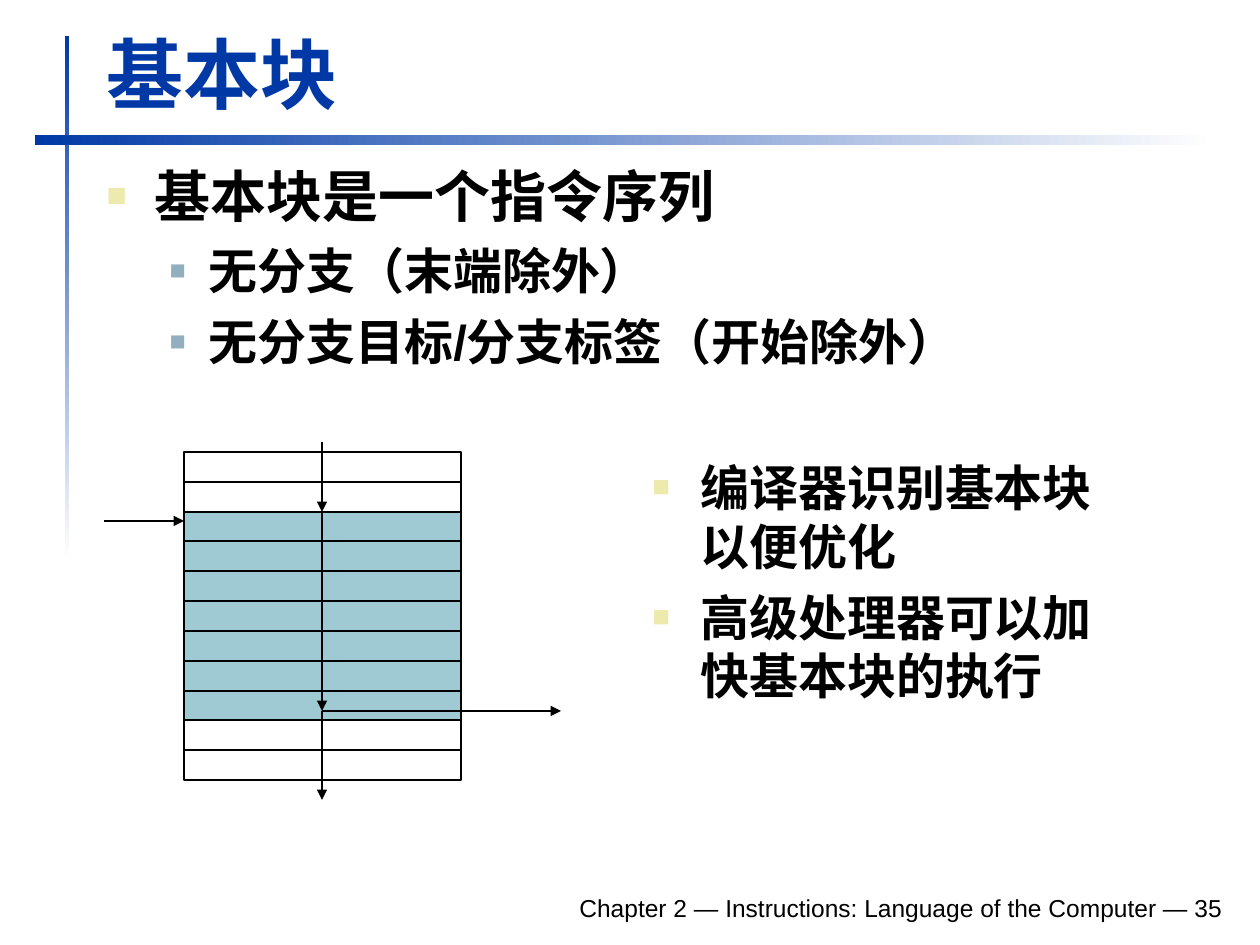
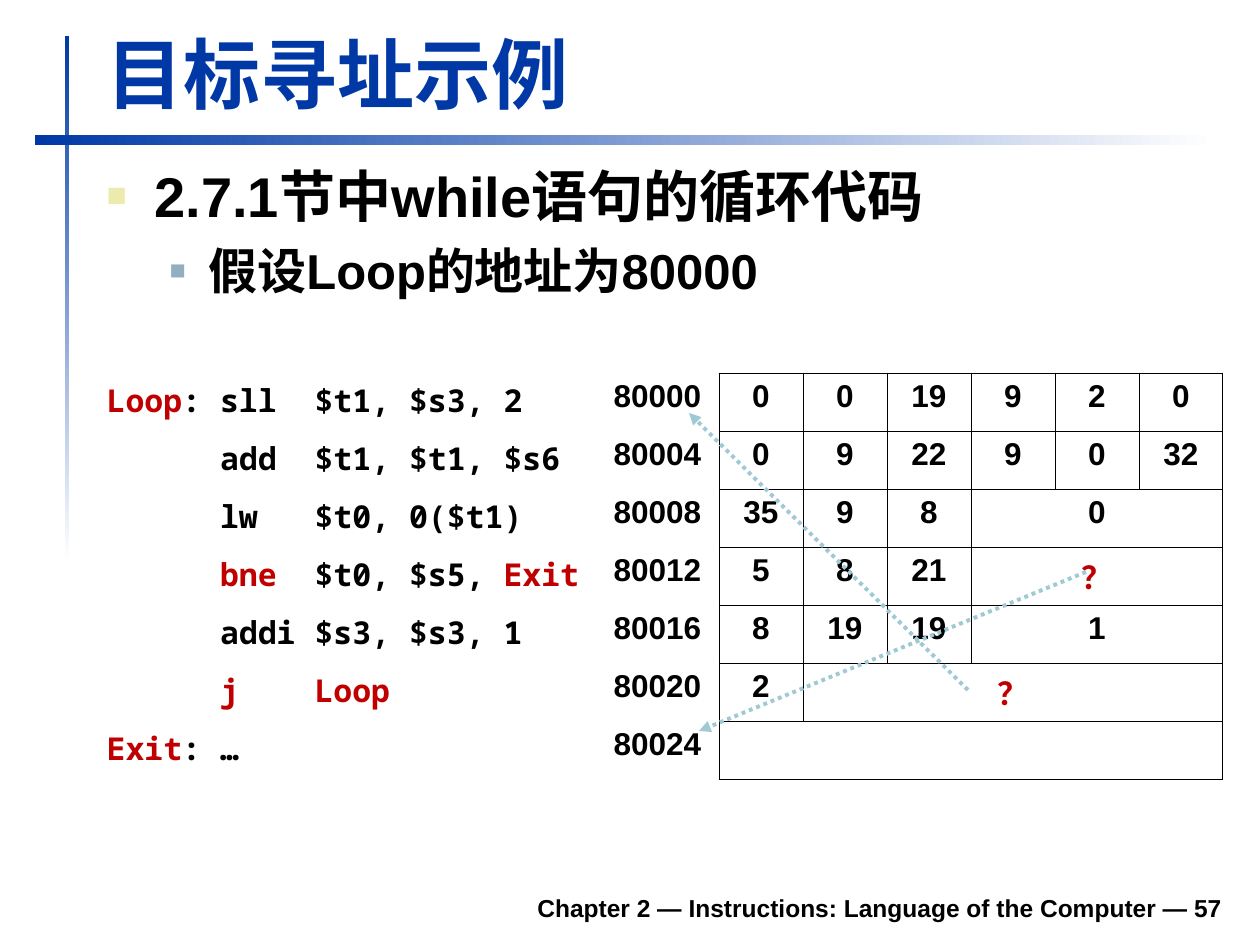
from lxml.etree import SubElement
from pptx import Presentation
from pptx.dml.color import RGBColor
from pptx.enum.dml import MSO_LINE
from pptx.enum.shapes import MSO_CONNECTOR, MSO_SHAPE
from pptx.enum.text import MSO_ANCHOR, MSO_AUTO_SIZE, PP_ALIGN
from pptx.oxml.ns import qn
from pptx.util import Emu, Pt

BLUE, BLACK, WHITE, RED, TEAL = "0039A6", "000000", "FFFFFF", "C00000", "9FCAD3"
SANS, MONO = "Arial", "Noto Sans Mono"
# Bullet colour, bullet size in %, text indent and hanging indent in px
BULLETS = [("ECEAAC", 60, 48, 48), ("91AFBF", 55, 102, 39)]


def px(length):
    return Emu(round(length * 914400 / 126))


def rgb(color):
    return RGBColor.from_string(color)


def add_run(paragraph, text, size, color=BLACK, font=SANS, bold=True):
    run = paragraph.add_run()
    run.text = text
    run.font.size, run.font.name, run.font.bold = Pt(size), font, bold
    run.font.color.rgb = rgb(color)


def place(shape, box):
    shape.left, shape.top, shape.width, shape.height = map(px, box)


def add_rect(shapes, box):
    rect = shapes.add_shape(MSO_SHAPE.RECTANGLE, *map(px, box))
    rect.shadow.inherit = False
    return rect


def add_arrow(shapes, start, end, color=BLACK, width=1.5, dash=None):
    arrow = shapes.add_connector(MSO_CONNECTOR.STRAIGHT, *map(px, start + end))
    arrow.line.color.rgb = rgb(color)
    arrow.line.width = Pt(width)
    if dash:
        arrow.line.dash_style = dash
    properties = arrow.element.spPr
    SubElement(properties.find(qn("a:ln")), qn("a:tailEnd"), type="triangle")
    SubElement(properties, qn("a:effectLst"))


def add_band(slide, box, angle):
    band = add_rect(slide.shapes, box)
    band.line.fill.background()
    band.fill.gradient()
    band.fill.gradient_angle = angle
    for stop, color in zip(band.fill.gradient_stops, (BLUE, WHITE)):
        stop.color.rgb = rgb(color)


def add_bullet(paragraph, level):
    color, percent, indent, hanging = BULLETS[level]
    properties = paragraph._p.get_or_add_pPr()
    properties.set("marL", str(px(indent)))
    properties.set("indent", str(-px(hanging)))
    SubElement(SubElement(properties, qn("a:buClr")), qn("a:srgbClr"), val=color)
    SubElement(properties, qn("a:buSzPct"), val=str(percent * 1000))
    SubElement(properties, qn("a:buFont"), typeface=SANS)
    SubElement(properties, qn("a:buChar"), char="■")


def fill_list(frame, items):
    """Write (level, size, text) items as bulleted paragraphs."""
    frame.word_wrap = True
    frame.auto_size = MSO_AUTO_SIZE.NONE
    for index, (level, size, text) in enumerate(items):
        paragraph = frame.add_paragraph() if index else frame.paragraphs[0]
        paragraph.level = level
        add_bullet(paragraph, level)
        paragraph.space_before = Pt(7 if index else 0)
        add_run(paragraph, text, size)


def add_footer(slide, number, bold, box=(233, 880, 1002, 49)):
    footer = slide.shapes.add_textbox(*map(px, box)).text_frame
    footer.word_wrap = True
    footer.vertical_anchor = MSO_ANCHOR.BOTTOM
    footer.paragraphs[0].alignment = PP_ALIGN.RIGHT
    text = f"Chapter 2 — Instructions: Language of the Computer — {number}"
    add_run(footer.paragraphs[0], text, 14, bold=bold)


def add_lecture_slide(deck, heading, items, body_height, number, bold_footer):
    slide = deck.slides.add_slide(deck.slide_layouts[1])
    add_band(slide, (65, 36, 4, 525), 270)
    add_band(slide, (35, 135, 1180, 10), 0)
    add_footer(slide, number, bold_footer)

    title, body = slide.placeholders
    place(title, (94, 20, 1138, 105))
    title.text_frame.auto_size = MSO_AUTO_SIZE.NONE
    title.text_frame.vertical_anchor = MSO_ANCHOR.BOTTOM
    title.text_frame.paragraphs[0].alignment = PP_ALIGN.LEFT
    add_run(title.text_frame.paragraphs[0], heading, 44, BLUE)

    place(body, (94, 155, 1139, body_height))
    fill_list(body.text_frame, items)
    return slide


def add_block_diagram(slide, box, rows=11, block=range(2, 9)):
    """Stack instruction rows, shade the basic block and draw the control flow."""
    left, top, width, height = box
    shapes = slide.shapes.add_group_shape().shapes
    edges = [top + round(row * height / rows) for row in range(rows + 1)]
    for row, (upper, lower) in enumerate(zip(edges, edges[1:])):
        instruction = add_rect(shapes, (left, upper, width, lower - upper))
        instruction.line.color.rgb = rgb(BLACK)
        instruction.line.width = Pt(0.75)
        if row in block:
            instruction.fill.solid()
            instruction.fill.fore_color.rgb = rgb(TEAL)
        else:
            instruction.fill.background()

    spine = left + width // 2
    entry, branch = edges[block.start], top + 259
    flow = [top - 10, entry, branch, top + height + 20]
    for start, end in zip(flow, flow[1:]):
        add_arrow(shapes, (spine, start), (spine, end))
    add_arrow(shapes, (spine, branch), (left + width + 100, branch))
    add_arrow(shapes, (left - 80, entry + 9), (left, entry + 9))


def add_side_notes(slide, box, notes):
    frame = slide.shapes.add_textbox(*map(px, box)).text_frame
    fill_list(frame, [(0, 28, note) for note in notes])


def set_borders(cell, left, right, top, bottom):
    properties = cell._tc.get_or_add_tcPr()
    sides = {"L": left, "R": right, "T": top, "B": bottom}
    for position, (side, color) in enumerate(sides.items()):
        border = SubElement(properties, qn(f"a:ln{side}"), w=str(Pt(0.45)))
        fill = SubElement(border, qn("a:solidFill"))
        SubElement(fill, qn("a:srgbClr"), val=color)
        properties.insert(position, border)


def add_machine_code(slide, left, top, lines):
    """Tabulate (code, address, fields); *marked* code is red, the last field spans the rest."""
    widths = [507, 118] + [84] * 6
    row_height = 58
    frame = slide.shapes.add_table(len(lines), len(widths), px(left), px(top),
                                   px(sum(widths)), px(row_height * len(lines)))
    table = frame.table
    table.first_row = table.horz_banding = False
    for column, width in zip(table.columns, widths):
        column.width = px(width)
    for row in table.rows:
        row.height = px(row_height)

    last = len(widths) - 1
    for row, (code, address, fields) in enumerate(lines):
        for column in range(len(widths)):
            cell = table.cell(row, column)
            cell.fill.background()
            outer = WHITE if column < 2 else BLACK
            set_borders(cell, outer, WHITE if column == 0 else BLACK, outer, outer)

        code_line = table.cell(row, 0).text_frame.paragraphs[0]
        for index, part in enumerate(code.split("*")):
            if part:
                add_run(code_line, part, 18, RED if index % 2 else BLACK, MONO)
        add_run(table.cell(row, 1).text_frame.paragraphs[0], address, 18)

        for column, field in enumerate(fields, 2):
            paragraph = table.cell(row, column).text_frame.paragraphs[0]
            paragraph.alignment = PP_ALIGN.CENTER
            if field:
                add_run(paragraph, field, 18, RED if field == "？" else BLACK)
        if column < last:
            table.cell(row, column).merge(table.cell(row, last))


def build_basic_blocks(deck):
    slide = add_lecture_slide(deck, "基本块", [
        (0, 32, "基本块是一个指令序列"),
        (1, 28, "无分支（末端除外）"),
        (1, 28, "无分支目标/分支标签（开始除外）"),
    ], 248, 35, False)
    add_block_diagram(slide, (184, 452, 277, 328))
    add_side_notes(slide, (640, 451, 478, 377),
                   ["编译器识别基本块以便优化", "高级处理器可以加快基本块的执行"])


def build_target_addressing(deck):
    slide = add_lecture_slide(deck, "目标寻址示例", [
        (0, 32, "2.7.1节中while语句的循环代码"),
        (1, 28, "假设Loop的地址为80000"),
    ], 169, 57, True)
    add_machine_code(slide, 94, 373, [
        ("*Loop*: sll  $t1, $s3, 2", "80000", ["0", "0", "19", "9", "2", "0"]),
        ("      add  $t1, $t1, $s6", "80004", ["0", "9", "22", "9", "0", "32"]),
        ("      lw   $t0, 0($t1)", "80008", ["35", "9", "8", "0"]),
        ("      *bne*  $t0, $s5, *Exit*", "80012", ["5", "8", "21", "？"]),
        ("      addi $s3, $s3, 1", "80016", ["8", "19", "19", "1"]),
        ("      *j    Loop*", "80020", ["2", "？"]),
        ("*Exit*: …", "80024", [""]),
    ])
    for operand, target in [((968, 690), (689, 413)), ((1086, 572), (699, 731))]:
        add_arrow(slide.shapes, operand, target, TEAL, 2.25, MSO_LINE.ROUND_DOT)


def main():
    deck = Presentation()
    deck.slide_width, deck.slide_height = px(1260), px(945)
    build_basic_blocks(deck)
    build_target_addressing(deck)
    deck.save("out.pptx")


if __name__ == "__main__":
    main()
